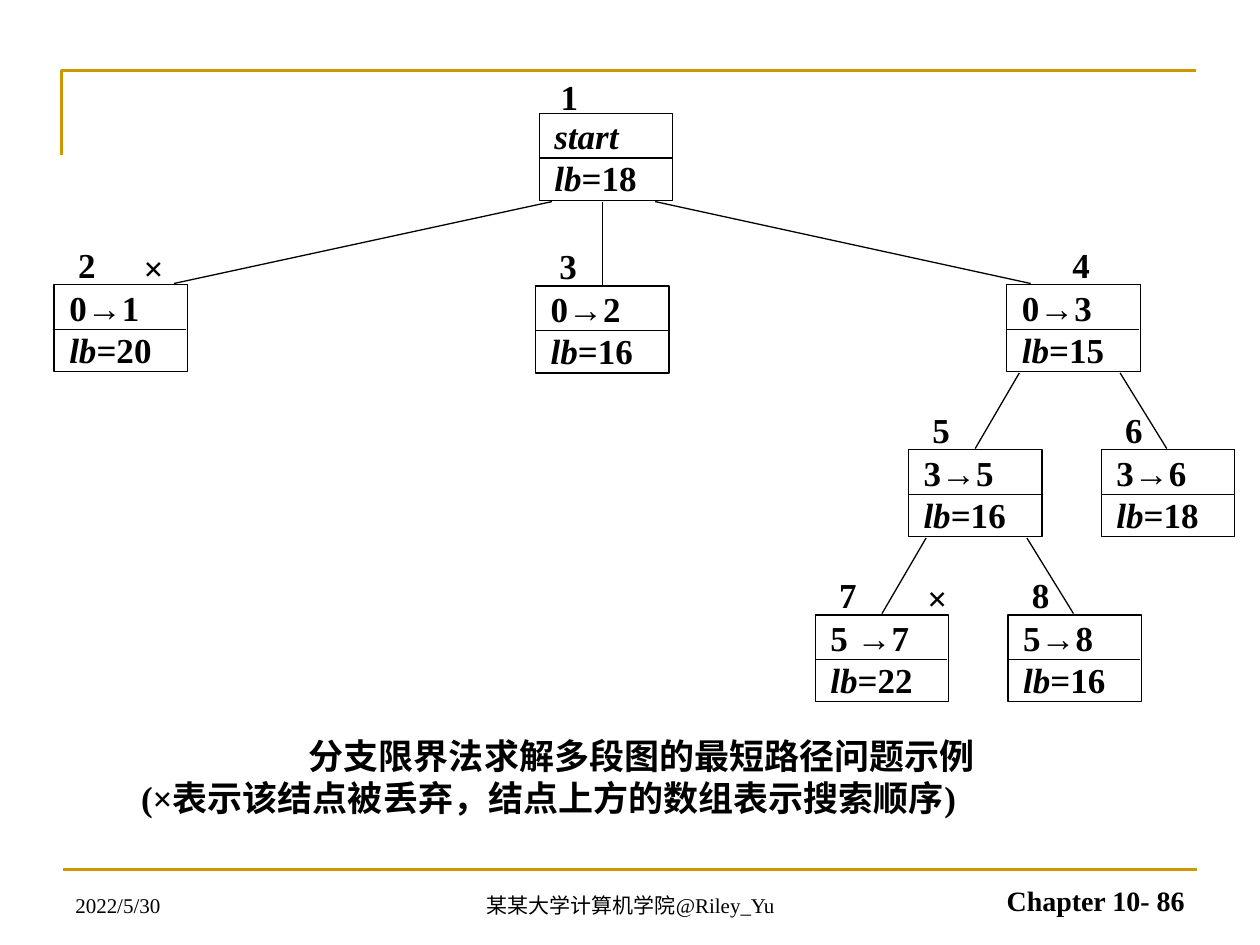
"""Draw the branch-and-bound search tree of a multistage graph."""
from dataclasses import dataclass

from lxml import etree
from pptx import Presentation
from pptx import util as u
from pptx.dml.color import RGBColor
from pptx.enum import shapes, text
from pptx.oxml.ns import qn

COLUMNS, ROWS = 100, 75
NODE_WIDTH, NODE_HEIGHT, DIVIDER = 10.6, 6.9, 3.55


@dataclass(frozen=True)
class Theme:
    face: str = "Times New Roman"
    ink: RGBColor = RGBColor(0, 0, 0)
    gold: RGBColor = RGBColor(0xCC, 0x99, 0x00)
    body: int = 20
    chapter: int = 16
    footer: int = 12
    thin: float = 0.75
    rule: float = 1.5


@dataclass(frozen=True)
class Node:
    left: float
    top: float
    step: str
    bound: int
    label_shift: float = 0.7
    label_rise: float = 3.3
    cross_shift: float = 0


class Page:
    def __init__(self, deck, theme):
        self.theme = theme
        self.column = deck.slide_width / COLUMNS
        self.row = deck.slide_height / ROWS
        self.shapes = deck.slides.add_slide(deck.slide_layouts[6]).shapes

    def place(self, *lengths):
        units = (self.column, self.row) * 2
        return [round(length * unit) for length, unit in zip(lengths, units)]

    def stroke(self, shape, color, width):
        shape.line.color.rgb = color
        shape.line.width = u.Pt(width)

    def fill_text(self, shape, lines, size, bold=True,
                  align=text.PP_ALIGN.JUSTIFY, anchor=text.MSO_ANCHOR.TOP,
                  insets=(0.12, 0, 0, 0)):
        frame = shape.text_frame
        frame.word_wrap = True
        frame.vertical_anchor = anchor
        (frame.margin_left, frame.margin_top,
         frame.margin_right, frame.margin_bottom) = map(u.Inches, insets)
        for index, spans in enumerate(lines):
            para = frame.add_paragraph() if index else frame.paragraphs[0]
            para.alignment = align
            font = para.font
            font.name, font.size, font.bold = self.theme.face, u.Pt(size), bold
            font.color.rgb = self.theme.ink
            for words, italic in spans:
                span = para.add_run()
                span.text = words
                if italic:
                    span.font.italic = True
        return frame

    def label(self, area, lines, size=None, **style):
        box = self.shapes.add_textbox(*self.place(*area))
        spans = [[(line, False)] for line in lines]
        return self.fill_text(box, spans, size or self.theme.body, **style)

    def line(self, start, end, color=None, width=None):
        line = self.shapes.add_connector(
            shapes.MSO_CONNECTOR.STRAIGHT, *self.place(*start, *end))
        self.stroke(line, color or self.theme.ink, width or self.theme.thin)
        etree.SubElement(line._element.spPr, qn("a:effectLst"))

    def corner(self, points):
        first, *rest = [self.place(*point) for point in points]
        builder = self.shapes.build_freeform(*first)
        builder.add_line_segments(rest, close=False)
        outline = builder.convert_to_shape()
        outline.fill.background()
        outline.shadow.inherit = False
        self.stroke(outline, self.theme.gold, self.theme.rule)

    def node(self, order, node):
        box = self.shapes.add_shape(
            shapes.MSO_SHAPE.RECTANGLE,
            *self.place(node.left, node.top, NODE_WIDTH, NODE_HEIGHT))
        box.fill.background()
        box.shadow.inherit = False
        self.stroke(box, self.theme.ink, self.theme.thin)
        lines = [[(node.step, node.step == "start")],
                 [("lb", True), (f"={node.bound}", False)]]
        self.fill_text(box, lines, self.theme.body, insets=(0.12, 0.01, 0, 0))
        middle = node.top + DIVIDER
        self.line((node.left, middle), (node.left + NODE_WIDTH - 0.1, middle))
        self.label((node.left + node.label_shift, node.top - node.label_rise,
                    2.8, 2.9), [str(order)])
        if node.cross_shift:
            self.label((node.left + node.cross_shift, node.top - 3.05,
                        3.1, 2.7), ["×"])

    def branch(self, parent, exit_shift, child, entry_shift):
        self.line((parent.left + exit_shift, parent.top + NODE_HEIGHT + 0.1),
                  (child.left + entry_shift, child.top - 0.1))


NODES = {
    1: Node(42.8, 9, "start", 18, label_shift=0.5, label_rise=3),
    2: Node(4.3, 22.6, "0→1", 20, cross_shift=5.9),
    3: Node(42.5, 22.7, "0→2", 16),
    4: Node(79.9, 22.6, "0→3", 15, label_shift=4),
    5: Node(72.1, 35.7, "3→5", 16),
    6: Node(87.4, 35.7, "3→6", 18),
    7: Node(64.7, 48.8, "5 →7", 22, cross_shift=7.7),
    8: Node(80, 48.8, "5→8", 16),
}
BRANCHES = [
    (1, 1, 2, 9.5), (1, 5, 3, 5.3), (1, 9.2, 4, 1.9),
    (4, 1, 5, 5.3), (4, 9, 6, 5.2),
    (5, 1.4, 7, 5.3), (5, 9.4, 8, 5.2),
]


def main():
    deck = Presentation()
    deck.slide_width, deck.slide_height = u.Inches(10), u.Inches(7.5)
    theme = Theme()
    page = Page(deck, theme)

    page.corner([(4.9, 12.3), (4.9, 5.6), (94.9, 5.6)])
    page.line((5, 69), (95, 69), theme.gold, theme.rule)

    for parent, exit_shift, child, entry_shift in BRANCHES:
        page.branch(NODES[parent], exit_shift, NODES[child], entry_shift)
    for order, node in NODES.items():
        page.node(order, node)

    caption = page.label((10, 58.3, 80.7, 7.5), [
        "分支限界法求解多段图的最短路径问题示例",
        "(×表示该结点被丢弃，结点上方的数组表示搜索顺序)",
    ], align=text.PP_ALIGN.LEFT)
    caption.paragraphs[0].alignment = text.PP_ALIGN.CENTER

    footers = [
        (5, 23.3, "2022/5/30", theme.footer, False, text.PP_ALIGN.LEFT),
        (34.2, 31.7, "某某大学计算机学院@Riley_Yu", theme.footer, False,
         text.PP_ALIGN.CENTER),
        (71.7, 23.3, "Chapter 10- 86", theme.chapter, True,
         text.PP_ALIGN.RIGHT),
    ]
    for left, width, words, size, bold, align in footers:
        page.label((left, 68.3, width, 5), [words], size, bold=bold,
                   align=align, anchor=text.MSO_ANCHOR.BOTTOM,
                   insets=(0.1, 0.05, 0.1, 0.05))

    deck.save("out.pptx")


if __name__ == "__main__":
    main()
